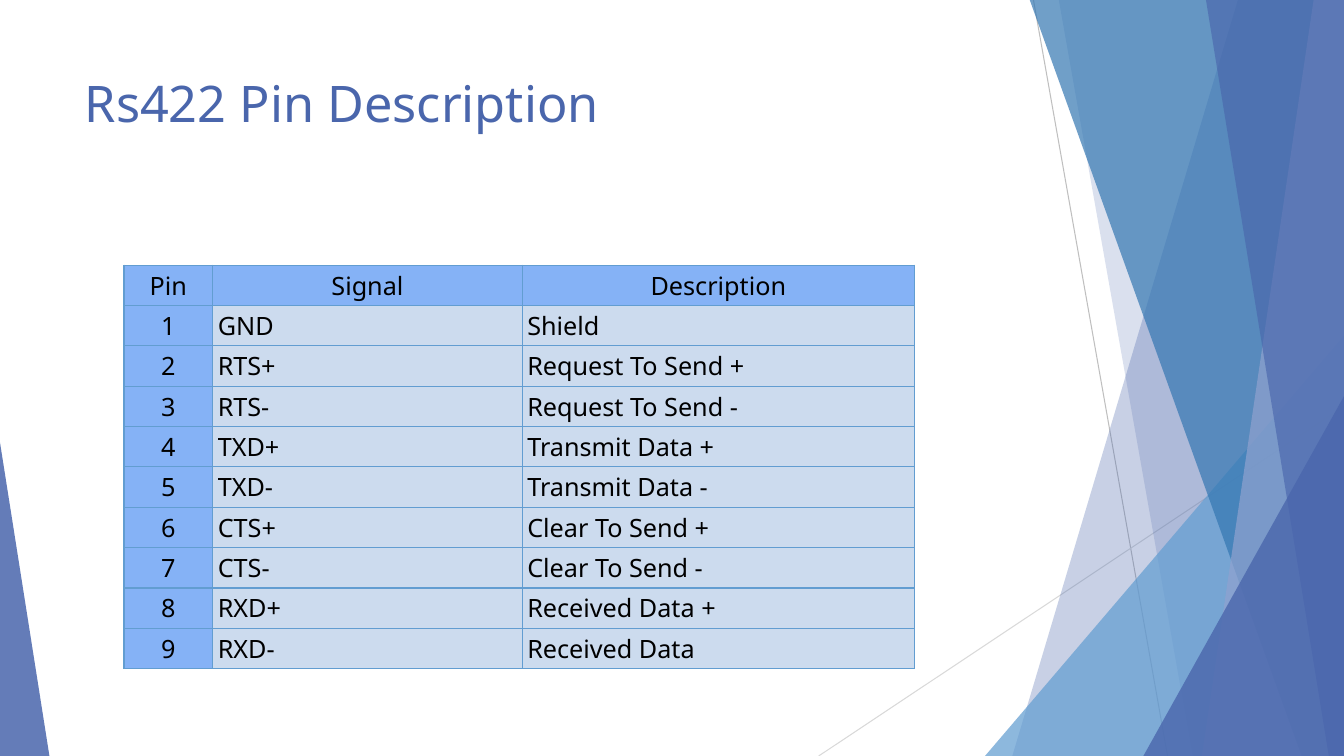
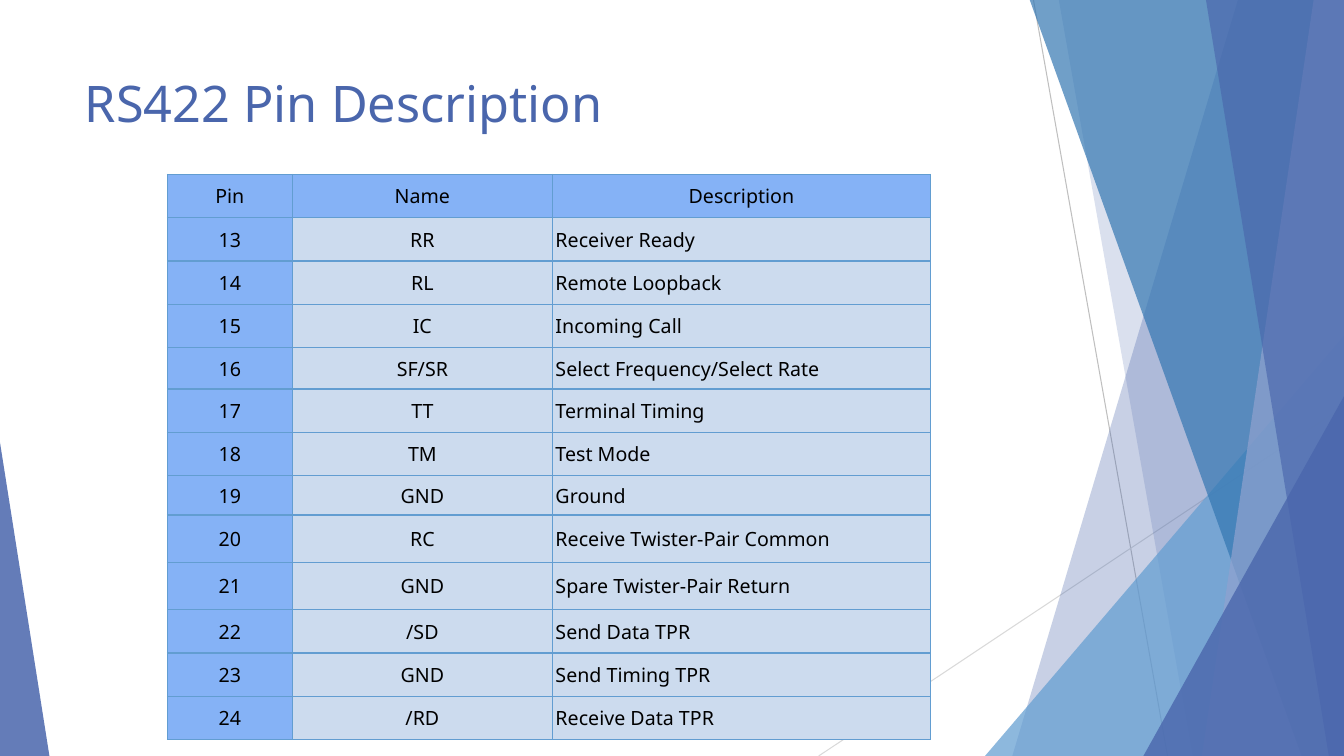
from lxml import etree
from pptx import Presentation, util as u
from pptx.dml.color import RGBColor
from pptx.enum import shapes, text
from pptx.oxml import ns

INDIGO = RGBColor(0x4A, 0x66, 0xAC)
SKY = RGBColor(0x62, 0x9D, 0xD1)
OCEAN = RGBColor(0x34, 0x77, 0xB2)
LAVENDER = RGBColor(0x90, 0xA2, 0xCF)
HEADER_BLUE = RGBColor(0x85, 0xB2, 0xF6)
CELL_BLUE = RGBColor(0xCC, 0xDB, 0xEE)
GREY = RGBColor(0xBF, 0xBF, 0xBF)
LIGHT_GREY = RGBColor(0xD9, 0xD9, 0xD9)
BLACK = RGBColor(0, 0, 0)
FONT = "Noto Sans"
WIDTH, HEIGHT = 13.33, 7.5
BAND_TOP = -0.01


class Deck:
    """Hold the shared style and the current slide."""

    def __init__(self):
        self.presentation = Presentation()
        self.presentation.slide_width = u.Inches(WIDTH)
        self.presentation.slide_height = u.Inches(HEIGHT)
        self.layout = self.presentation.slide_layouts.get_by_name("Title Only")
        for placeholder in list(self.layout.placeholders)[1:]:
            self.layout.shapes.element.remove(placeholder.element)
        self.slide = None

    def add_slide(self, title, title_height):
        self.slide = self.presentation.slides.add_slide(self.layout)
        shape = self.slide.shapes.title
        shape.left, shape.top = u.Inches(0.74), u.Inches(0.67)
        shape.width, shape.height = u.Inches(9.4), u.Inches(title_height)
        frame = shape.text_frame
        frame.text = title
        frame.vertical_anchor = text.MSO_ANCHOR.TOP
        frame.auto_size = text.MSO_AUTO_SIZE.NONE
        self.format_text(frame.paragraphs[0], 36, INDIGO, text.PP_ALIGN.LEFT)

    def format_text(self, paragraph, size, color, alignment):
        paragraph.alignment = alignment
        for run in paragraph.runs:
            run.font.name = FONT
            run.font.size = u.Pt(size)
            run.font.color.rgb = color

    def line(self, start, end, color):
        connector = self.slide.shapes.add_connector(
            shapes.MSO_CONNECTOR.STRAIGHT, *map(u.Inches, start + end))
        connector.line.color.rgb = color
        connector.line.width = u.Pt(0.75)
        etree.SubElement(connector.element.spPr, ns.qn("a:effectLst"))

    def paint(self, shape, color, opacity):
        shape.shadow.inherit = False
        shape.line.fill.background()
        shape.fill.solid()
        shape.fill.fore_color.rgb = color
        fill_color = shape.element.spPr.find(".//" + ns.qn("a:srgbClr"))
        etree.SubElement(fill_color, ns.qn("a:alpha"), val=str(opacity * 1000))

    def band(self, top_x, bottom_x, color, opacity):
        corners = [(WIDTH, BAND_TOP), (WIDTH, HEIGHT), (bottom_x, HEIGHT)]
        builder = self.slide.shapes.build_freeform(
            u.Inches(top_x), u.Inches(BAND_TOP))
        builder.add_line_segments(
            [(u.Inches(x), u.Inches(y)) for x, y in corners], close=True)
        self.paint(builder.convert_to_shape(), color, opacity)

    def triangle(self, left, right, top, apex, color, opacity):
        shape = self.slide.shapes.add_shape(
            shapes.MSO_SHAPE.ISOSCELES_TRIANGLE, u.Inches(left), u.Inches(top),
            u.Inches(right - left), u.Inches(HEIGHT - top))
        shape.adjustments[0] = apex
        self.paint(shape, color, opacity)

    def add_backdrop(self):
        self.line((10.25, 0), (11.58, HEIGHT), GREY)
        self.line((WIDTH, 4.03), (8.12, HEIGHT), LIGHT_GREY)
        self.band(12.28, 10.04, INDIGO, 30)
        self.band(10.5, 11.83, INDIGO, 20)
        self.triangle(9.77, WIDTH, 3.33, 1, SKY, 72)
        self.band(10.21, 12.91, OCEAN, 70)
        self.band(13.03, 11.92, LAVENDER, 70)
        self.band(11.96, 13.18, INDIGO, 65)
        self.triangle(11.34, WIDTH, 3.93, 1, INDIGO, 80)
        self.triangle(0, 0.49, 4.39, 0, INDIGO, 85)
        for shape in list(self.slide.shapes):
            if not shape.is_placeholder:
                self.layout.shapes.element.append(shape.element)

    def border(self, cell):
        properties = cell._tc.get_or_add_tcPr()
        for position, side in enumerate(("lnL", "lnR", "lnT", "lnB")):
            edge = etree.Element(ns.qn("a:" + side), w=str(u.Pt(1)))
            fill = etree.SubElement(edge, ns.qn("a:solidFill"))
            etree.SubElement(fill, ns.qn("a:srgbClr"), val=str(SKY))
            properties.insert(position, edge)

    def table(self, left, top, widths, heights, rows, size, centred, inset, side_inset):
        table = self.slide.shapes.add_table(
            len(rows), len(widths), u.Inches(left), u.Inches(top),
            u.Inches(sum(widths)), u.Inches(sum(heights))).table
        table.horz_banding = False
        for column, width in zip(table.columns, widths):
            column.width = u.Inches(width)
        for row_index, (row, height) in enumerate(zip(rows, heights)):
            table.rows[row_index].height = u.Inches(height)
            for column_index, value in enumerate(row):
                cell = table.cell(row_index, column_index)
                header = row_index == 0
                cell.text_frame.text = value
                cell.vertical_anchor = text.MSO_ANCHOR.MIDDLE
                cell.margin_top = cell.margin_bottom = u.Inches(inset)
                cell.margin_left = cell.margin_right = u.Inches(
                    inset if header else side_inset)
                cell.fill.solid()
                cell.fill.fore_color.rgb = (
                    HEADER_BLUE if header or column_index == 0 else CELL_BLUE)
                self.border(cell)
                alignment = (text.PP_ALIGN.CENTER if header or column_index < centred
                             else text.PP_ALIGN.LEFT)
                paragraph = cell.text_frame.paragraphs[0]
                self.format_text(paragraph, size, BLACK, alignment)
                paragraph.runs[0].font.bold = False


def number_pins(first, pins):
    return [(str(pin), *labels) for pin, labels in enumerate(pins, first)]


nine_pins = number_pins(1, [
    ("GND", "Shield"),
    ("RTS+", "Request To Send +"),
    ("RTS-", "Request To Send -"),
    ("TXD+", "Transmit Data +"),
    ("TXD-", "Transmit Data -"),
    ("CTS+", "Clear To Send +"),
    ("CTS-", "Clear To Send -"),
    ("RXD+", "Received Data +"),
    ("RXD-", "Received Data"),
])
upper_pins = number_pins(13, [
    ("RR", "Receiver Ready"),
    ("RL", "Remote Loopback"),
    ("IC", "Incoming Call"),
    ("SF/SR", "Select Frequency/Select Rate"),
    ("TT", "Terminal Timing"),
    ("TM", "Test Mode"),
    ("GND", "Ground"),
    ("RC", "Receive Twister-Pair Common"),
    ("GND", "Spare Twister-Pair Return"),
    ("/SD", "Send Data TPR"),
    ("GND", "Send Timing TPR"),
    ("/RD", "Receive Data TPR"),
])

deck = Deck()
deck.add_slide("Rs422 Pin Description", 0.86)
deck.add_backdrop()
deck.table(1.23, 2.63, [0.88, 3.07, 3.89], [0.39] * 10,
           [("Pin", "Signal", "Description")] + nine_pins,
           size=18, centred=1, inset=0.03, side_inset=0.05)

deck.add_slide("RS422 Pin Description", 0.8)
deck.table(1.66, 1.73, [1.24, 2.58, 3.75],
           [0.43] * 4 + [0.41, 0.43, 0.43, 0.39, 0.47, 0.47] + [0.43] * 3,
           [("Pin", "Name", "Description")] + upper_pins,
           size=14, centred=2, inset=0.02, side_inset=0.03)
deck.presentation.save("out.pptx")
